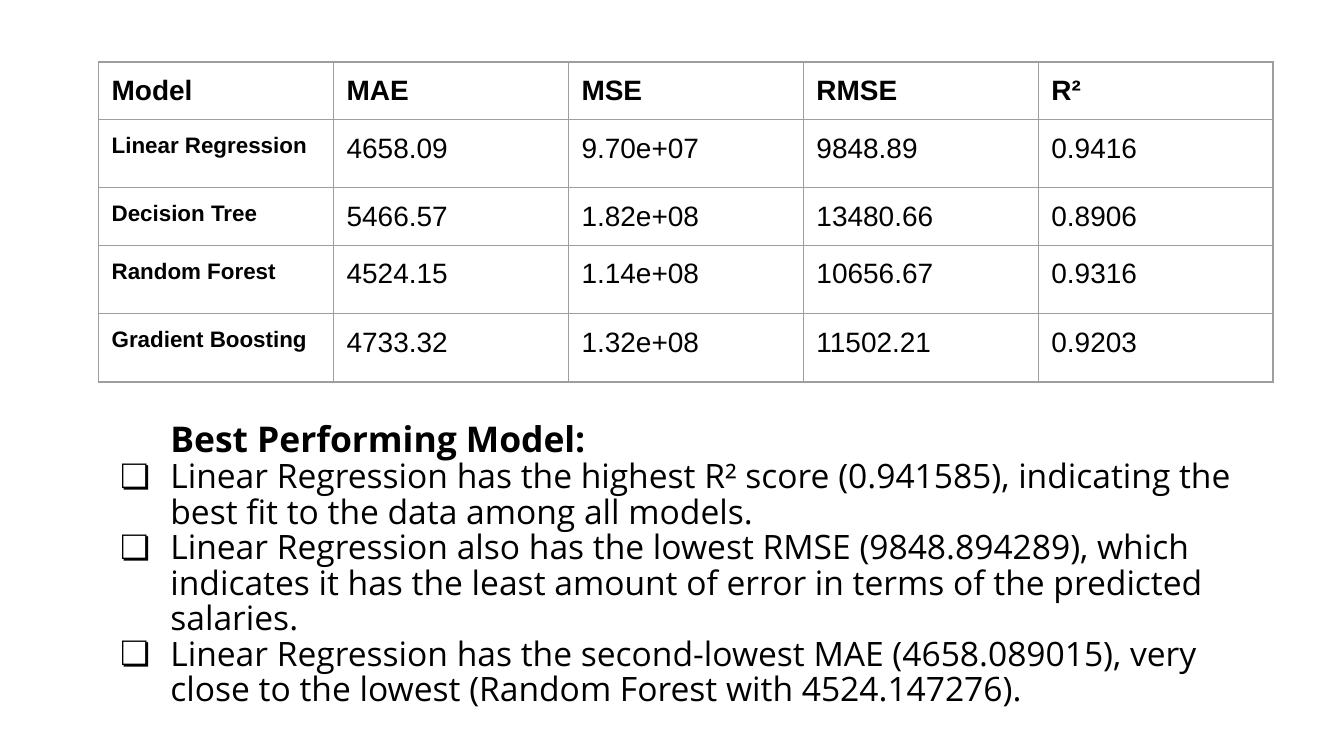
from lxml import etree
from pptx import Presentation
from pptx import util as u
from pptx.dml.color import RGBColor
from pptx.enum import text
from pptx.oxml import ns

COLORS = {"ink": "000000", "rule": "9E9E9E"}
PAD = u.Cm(0.25)


def write(par, words, size=18, bold=False, font="Open Sans"):
    run = par.add_run()
    run.text = words
    run.font.size = u.Pt(size)
    run.font.bold = bold
    run.font.name = font
    run.font.color.rgb = RGBColor.from_string(COLORS["ink"])


def add_node(parent, tag, **attrs):
    return etree.SubElement(parent, ns.qn(tag), attrs)


deck = Presentation()
deck.slide_width, deck.slide_height = u.Cm(25.4), u.Cm(14.29)
slide = deck.slides.add_slide(deck.slide_layouts[1])
title = slide.shapes.title
title.element.getparent().remove(title.element)

# Score table
scores = [
    ("Model", "MAE", "MSE", "RMSE", "R²"),
    ("Linear Regression", "4658.09", "9.70e+07", "9848.89", "0.9416"),
    ("Decision Tree", "5466.57", "1.82e+08", "13480.66", "0.8906"),
    ("Random Forest", "4524.15", "1.14e+08", "10656.67", "0.9316"),
    ("Gradient Boosting", "4733.32", "1.32e+08", "11502.21", "0.9203"),
]
heights = [1.09, 1.29, 1.09, 1.29, 1.29]
table = slide.shapes.add_table(
    len(scores), len(scores[0]), u.Cm(1.86), u.Cm(1.17),
    u.Cm(22.2), u.Cm(sum(heights))).table
table.first_row = table.horz_banding = False
for col in table.columns:
    col.width = u.Cm(4.44)

for r, (row, height) in enumerate(zip(scores, heights)):
    table.rows[r].height = u.Cm(height)
    for c, words in enumerate(row):
        cell = table.cell(r, c)
        cell.margin_left = cell.margin_right = PAD
        cell.margin_top = cell.margin_bottom = PAD
        write(cell.text_frame.paragraphs[0], words, font="Arial",
              size=12 if r and c == 0 else 15, bold=r == 0 or c == 0)
        # Cell borders
        props = cell._tc.get_or_add_tcPr()
        for side in ("a:lnL", "a:lnR", "a:lnT", "a:lnB"):
            line = add_node(props, side, w=str(u.Pt(0.75)))
            fill = add_node(line, "a:solidFill")
            add_node(fill, "a:srgbClr", val=COLORS["rule"])
        cell.fill.background()

# Findings
body = slide.placeholders[1]
body.left, body.top = u.Cm(1.7), u.Cm(7.74)
body.width, body.height = u.Cm(22.5), u.Cm(6.55)
frame = body.text_frame
frame.word_wrap = True
frame.auto_size = text.MSO_AUTO_SIZE.NONE
frame.vertical_anchor = text.MSO_ANCHOR.TOP
frame.margin_left = frame.margin_right = PAD
frame.margin_top = frame.margin_bottom = PAD

notes = [
    "Best Performing Model:",
    "Linear Regression has the highest R² score (0.941585), indicating the "
    "best fit to the data among all models.",
    "Linear Regression also has the lowest RMSE (9848.894289), which "
    "indicates it has the least amount of error in terms of the predicted "
    "salaries.",
    "Linear Regression has the second-lowest MAE (4658.089015), very close "
    "to the lowest (Random Forest with 4524.147276).",
]
for i, words in enumerate(notes):
    head = i == 0
    par = frame.paragraphs[0] if head else frame.add_paragraph()
    par.line_spacing = 0.88
    par.space_before = par.space_after = u.Pt(0)
    props = par._p.get_or_add_pPr()
    props.set("marL", str(u.Cm(1.27)))
    props.set("indent", str(u.Cm(0 if head else -0.95)))
    if head:
        add_node(props, "a:buNone")
    else:
        tint = add_node(props, "a:buClr")
        add_node(tint, "a:srgbClr", val=COLORS["ink"])
        add_node(props, "a:buFont", typeface="Open Sans")
        add_node(props, "a:buChar", char="❏")
    write(par, words, size=19 if head else 18, bold=head)

deck.save("out.pptx")
